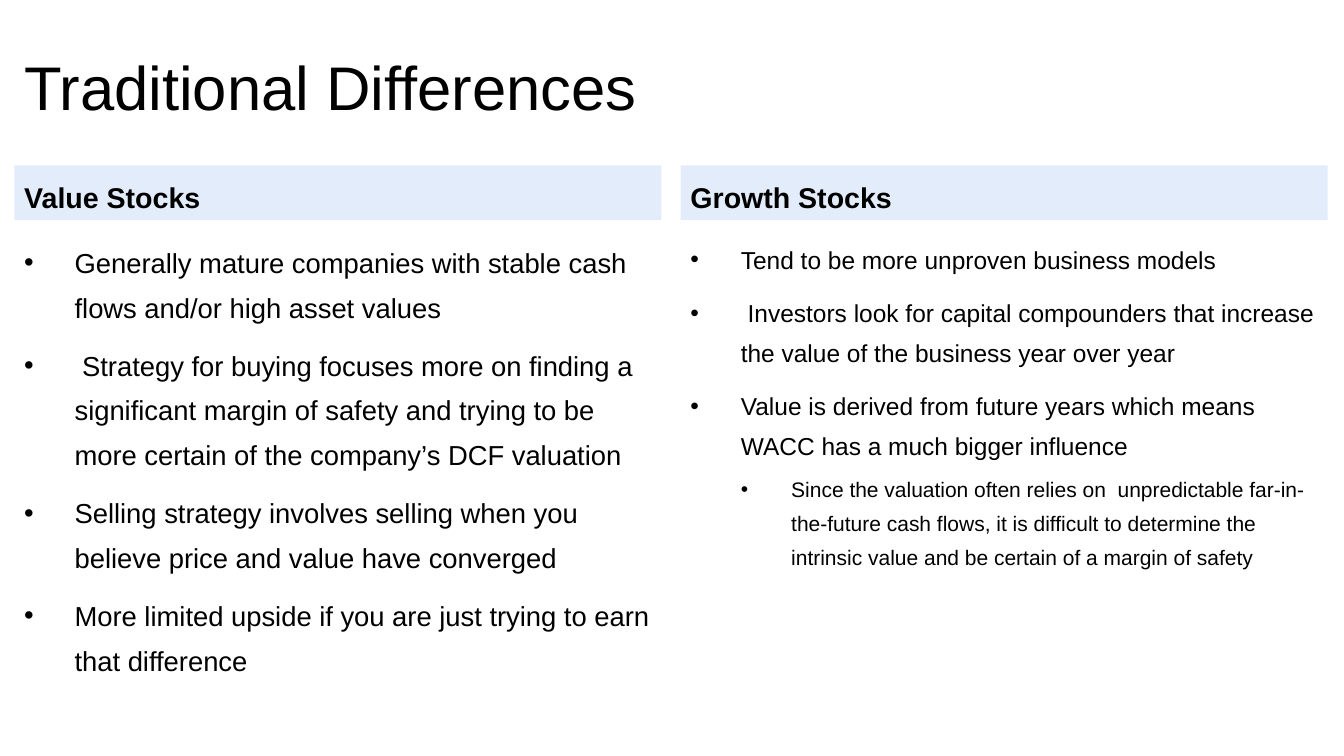
from pptx import Presentation
from pptx.dml.color import RGBColor
from pptx.enum import text
from pptx.oxml import parse_xml
from pptx.oxml.ns import nsdecls
from pptx.util import Cm, Pt

BLACK = RGBColor(0x00, 0x00, 0x00)
PALE_BLUE = RGBColor(0xE3, 0xEC, 0xFB)
LEFT, COLUMN_STEP, COLUMN_WIDTH = 0.36, 16.79, 16.31
INDENT = 1.27

VALUE_POINTS = [
    (0, "Generally mature companies with stable cash flows and/or high asset values "),
    (0, " Strategy for buying focuses more on finding a significant margin of safety "
        "and trying to be more certain of the company’s DCF valuation"),
    (0, "Selling strategy involves selling when you believe price and value have converged"),
    (0, "More limited upside if you are just trying to earn that difference"),
]
GROWTH_POINTS = [
    (0, "Tend to be more unproven business models "),
    (0, " Investors look for capital compounders that increase the value of the "
        "business year over year"),
    (0, "Value is derived from future years which means WACC has a much bigger influence"),
    (1, "Since the valuation often relies on  unpredictable far-in-the-future cash flows, "
        "it is difficult to determine the intrinsic value and be certain of a margin of safety"),
]
COLUMNS = [
    ("Value Stocks", VALUE_POINTS, (19.6, 17)),
    ("Growth Stocks", GROWTH_POINTS, (17.5, 15)),
]


def set_all(obj, values):
    for name, value in values.items():
        setattr(obj, name, value)


def place(sp, left, top, width, height, anchor):
    set_all(sp, dict(left=Cm(left), top=Cm(top), width=Cm(width), height=Cm(height)))
    tf = sp.text_frame
    set_all(tf, dict(
        word_wrap=True, auto_size=text.MSO_AUTO_SIZE.NONE, vertical_anchor=anchor,
        margin_left=Cm(0.25), margin_right=Cm(0.25),
        margin_top=Cm(0.13), margin_bottom=Cm(0.13)))
    return tf


def write(p, words, size, spacing, before=0, bold=False):
    set_all(p, dict(alignment=text.PP_ALIGN.LEFT, line_spacing=spacing,
                    space_before=Pt(before), space_after=Pt(0)))
    r = p.add_run()
    r.text = words
    set_all(r.font, dict(name="Arial", size=Pt(size), bold=bold))
    r.font.color.rgb = BLACK


def add_bullet(p, level):
    p.level = level
    pPr = p._p.get_or_add_pPr()
    pPr.set("marL", str(Cm(INDENT * (level + 1))))
    pPr.set("indent", str(-Cm(INDENT)))
    for xml in ('<a:buClr {}><a:srgbClr val="000000"/></a:buClr>',
                '<a:buFont {} typeface="Arial"/>',
                '<a:buChar {} char="•"/>'):
        pPr.append(parse_xml(xml.format(nsdecls("a"))))


def fill_heading(sp, left, words):
    tf = place(sp, left, 4.17, COLUMN_WIDTH, 1.37, text.MSO_ANCHOR.BOTTOM)
    sp.fill.solid()
    sp.fill.fore_color.rgb = PALE_BLUE
    write(tf.paragraphs[0], words, 20.4, 1.4, bold=True)


def fill_list(sp, left, points, sizes):
    tf = place(sp, left, 5.77, COLUMN_WIDTH, 11.43, text.MSO_ANCHOR.TOP)
    for i, (level, words) in enumerate(points):
        p = tf.add_paragraph() if i else tf.paragraphs[0]
        before = (9.5, 5)[level] if i else 0
        write(p, words, sizes[level], 1.36, before)
        add_bullet(p, level)


def main():
    prs = Presentation()
    set_all(prs, dict(slide_width=Cm(33.87), slide_height=Cm(19.05)))
    s = prs.slides.add_slide(prs.slide_layouts.get_by_name("Comparison"))
    title, *bodies = s.placeholders
    tf = place(title, LEFT, 1.02, 33.12, 2.54, text.MSO_ANCHOR.MIDDLE)
    write(tf.paragraphs[0], "Traditional Differences ", 44, 0.9)
    for i, (heading, points, sizes) in enumerate(COLUMNS):
        left = LEFT + i * COLUMN_STEP
        fill_heading(bodies[2 * i], left, heading)
        fill_list(bodies[2 * i + 1], left, points, sizes)
    prs.save("out.pptx")


if __name__ == "__main__":
    main()
